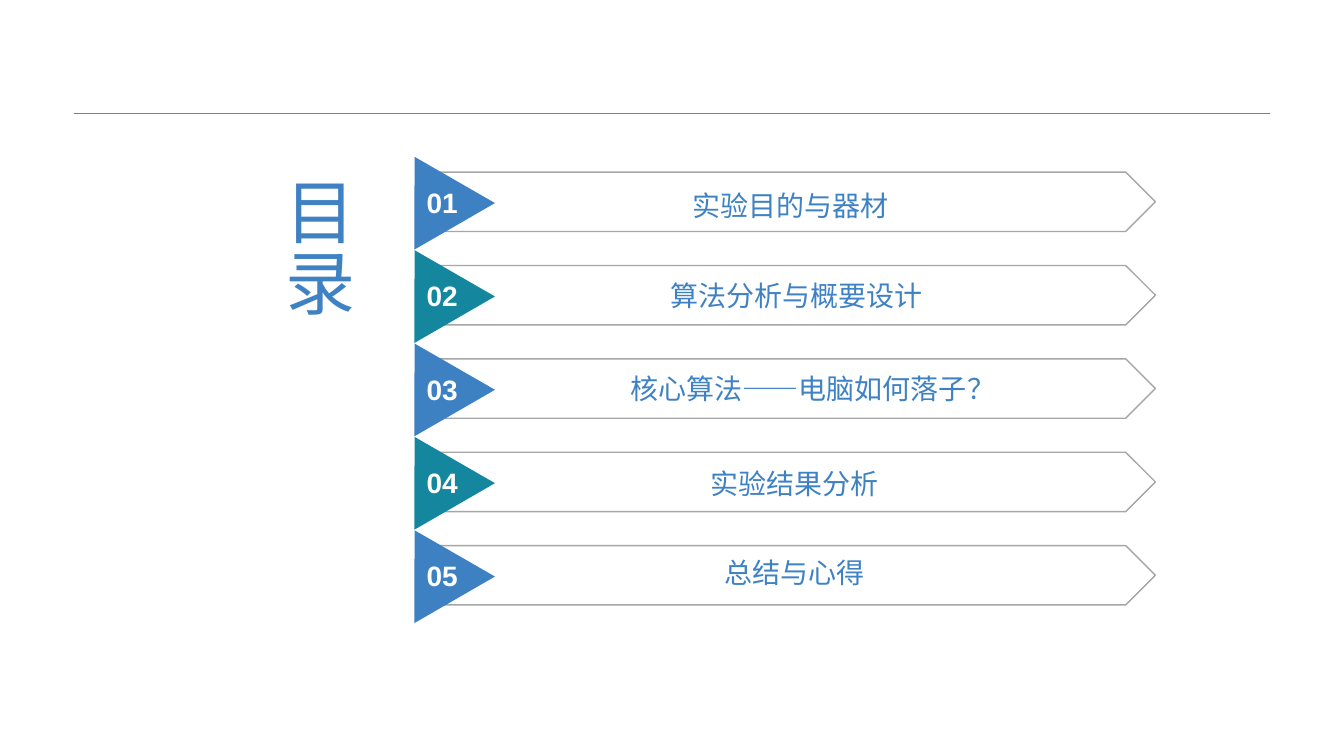
from dataclasses import dataclass

from lxml import etree
from pptx import Presentation
from pptx.dml.color import RGBColor
from pptx.enum.shapes import MSO_CONNECTOR, MSO_SHAPE
from pptx.enum.text import MSO_ANCHOR, MSO_AUTO_SIZE, PP_ALIGN
from pptx.oxml.ns import qn
from pptx.util import Inches, Pt

PENTAGON, TRIANGLE = MSO_SHAPE.PENTAGON, MSO_SHAPE.ISOSCELES_TRIANGLE
STRAIGHT = MSO_CONNECTOR.STRAIGHT
TOP, MIDDLE = MSO_ANCHOR.TOP, MSO_ANCHOR.MIDDLE
LEFT, CENTER = PP_ALIGN.LEFT, PP_ALIGN.CENTER
NO_AUTOFIT = MSO_AUTO_SIZE.NONE
TITLE_ONLY_LAYOUT = 5


@dataclass(frozen=True)
class Theme:
    font: str = "Arial"
    text: str = "3F82C4"
    markers: tuple = ("3E81C3", "14879E")
    number: str = "FFFFFF"
    outline: str = "A6A6A6"
    rule: str = "808080"
    title_size: int = 50
    item_size: int = 20


class AgendaSlide:
    """Positions are percentages of the slide's width and height."""

    def __init__(self, presentation, theme):
        self.theme = theme
        self.width = presentation.slide_width
        self.height = presentation.slide_height
        layout = presentation.slide_layouts[TITLE_ONLY_LAYOUT]
        self.slide = presentation.slides.add_slide(layout)

    def box(self, left, top, width, height):
        return (int(self.width * left / 100), int(self.height * top / 100),
                int(self.width * width / 100), int(self.height * height / 100))

    def set_text(self, frame, text, size, color, align=CENTER, anchor=MIDDLE, bold=False):
        frame.text = text
        frame.vertical_anchor = anchor
        paragraph = frame.paragraphs[0]
        paragraph.alignment = align
        font = paragraph.font
        font.name, font.size, font.bold = self.theme.font, Pt(size), bold
        font.color.rgb = RGBColor.from_string(color)

    def title(self, text, *area):
        title = self.slide.shapes.title
        title.left, title.top, title.width, title.height = self.box(*area)
        frame = title.text_frame
        self.set_text(frame, text, self.theme.title_size, self.theme.text, LEFT, TOP)
        frame.word_wrap = True
        frame.auto_size = NO_AUTOFIT
        frame._txBody.bodyPr.set("vert", "eaVert")

    def rule(self, left, right, top):
        x, y, length, _ = self.box(left, top, right - left, 0)
        line = self.slide.shapes.add_connector(STRAIGHT, x, y, x + length, y)
        line.line.color.rgb = RGBColor.from_string(self.theme.rule)
        line.line.width = Pt(0.25)
        etree.SubElement(line._element.spPr, qn("a:effectLst"))

    def plate(self, text, shift_x, shift_y, *area):
        """Draw an outlined arrow; the shifts move its label, in inches."""
        plate = self.slide.shapes.add_shape(PENTAGON, *self.box(*area))
        plate.shadow.inherit = False
        plate.fill.background()
        plate.line.color.rgb = RGBColor.from_string(self.theme.outline)
        plate.line.width = Pt(1)
        frame = plate.text_frame
        self.set_text(frame, text, self.theme.item_size, self.theme.text)
        frame.margin_left = Inches(0.1 + 2 * shift_x)
        frame.margin_top = Inches(0.1 + shift_y)
        frame.margin_bottom = Inches(0.1 - shift_y)

    def marker(self, color, *area):
        marker = self.slide.shapes.add_shape(TRIANGLE, *self.box(*area))
        marker.rotation = 330
        marker.shadow.inherit = False
        marker.fill.solid()
        marker.fill.fore_color.rgb = RGBColor.from_string(color)
        marker.line.fill.background()

    def number(self, value, *area):
        frame = self.slide.shapes.add_textbox(*self.box(*area)).text_frame
        frame.word_wrap = True
        frame.margin_left = frame.margin_right = 0
        self.set_text(frame, f"{value:02d}", self.theme.item_size, self.theme.number, bold=True)


# Label, then its shift right and down
ITEMS = [
    ("实验目的与器材", 0.03, 0.03),
    ("算法分析与概要设计", 0.09, 0),
    ("核心算法——电脑如何落子？", 0.25, 0),
    ("实验结果分析", 0.07, 0.01),
    ("总结与心得", 0.07, -0.03),
]
ROW_PITCH = 12.35


def main():
    presentation = Presentation()
    presentation.slide_width, presentation.slide_height = Inches(13.33), Inches(7.5)
    theme = Theme()
    agenda = AgendaSlide(presentation, theme)

    # Heading
    agenda.rule(5.48, 94.52, 14.99)
    agenda.title("目录", 19.73, 22.8, 7.8, 62.53)

    # Agenda rows
    for index, (label, shift_x, shift_y) in enumerate(ITEMS):
        offset = index * ROW_PITCH
        color = theme.markers[index % len(theme.markers)]
        agenda.plate(label, shift_x, shift_y, 32.33, 22.77 + offset, 53.64, 7.85)
        agenda.marker(color, 28.88, 20.03 + offset, 6.92, 10.62)
        agenda.number(index + 1, 30.98, 23.6 + offset, 3.83, 6.27)

    presentation.save("out.pptx")


if __name__ == "__main__":
    main()
